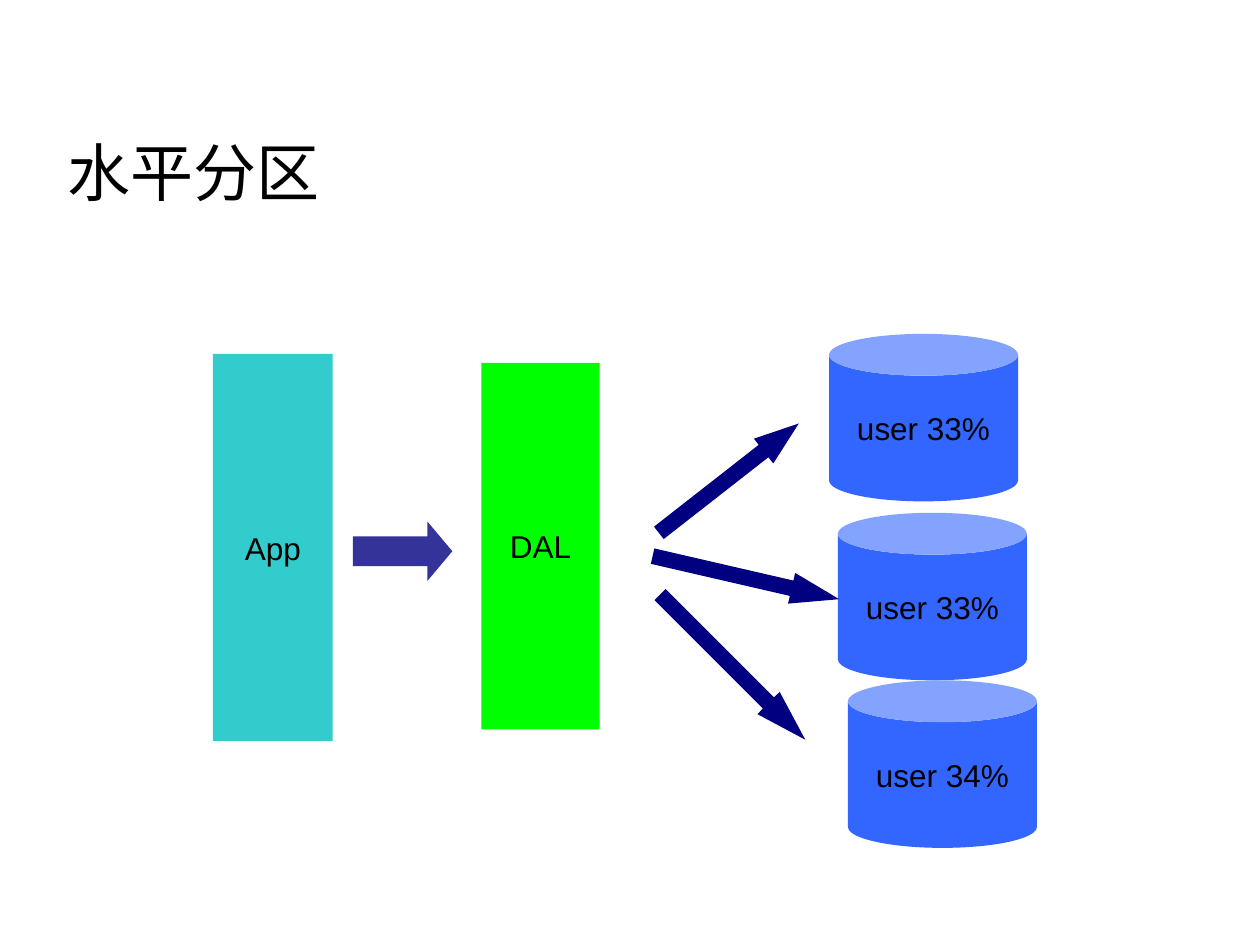
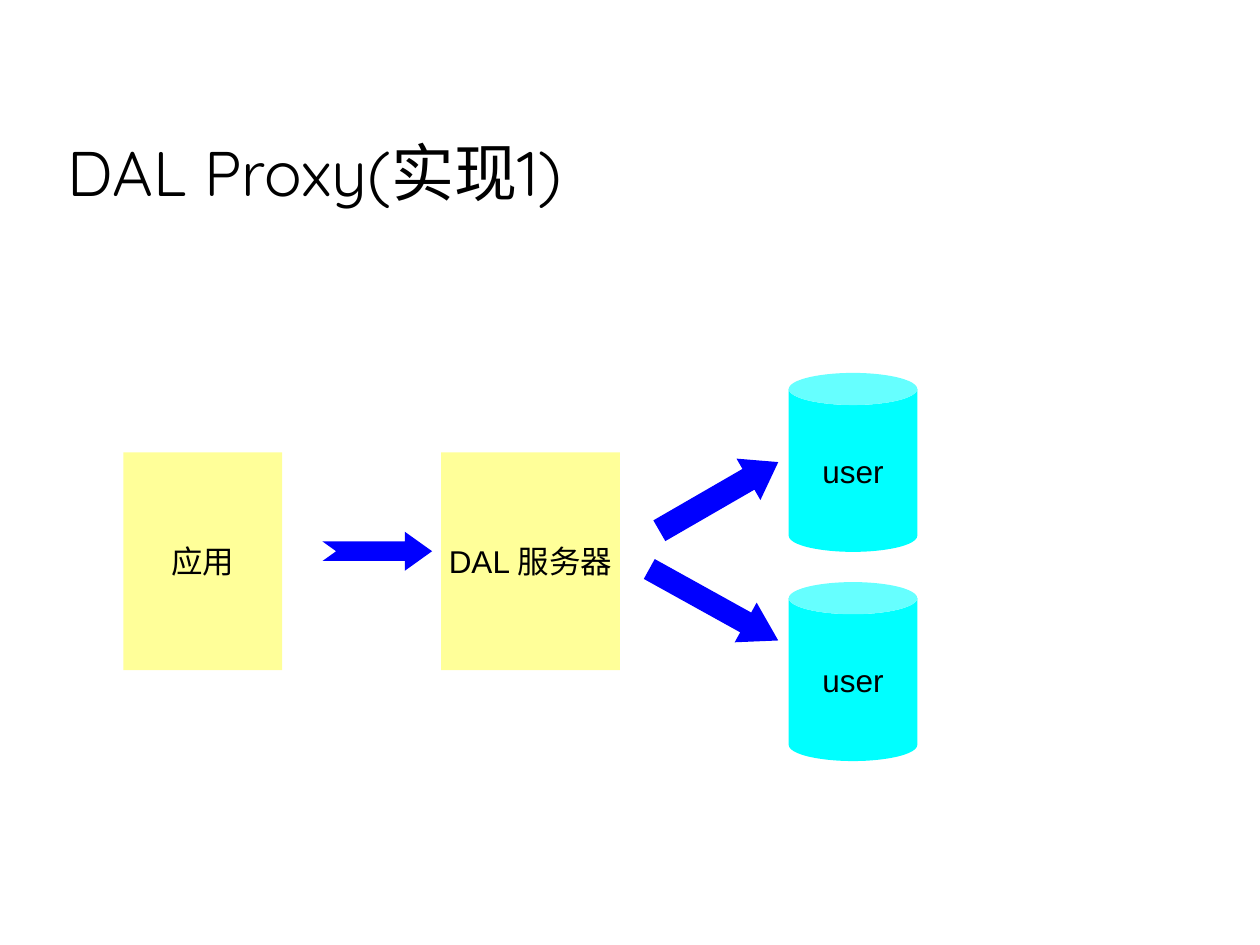
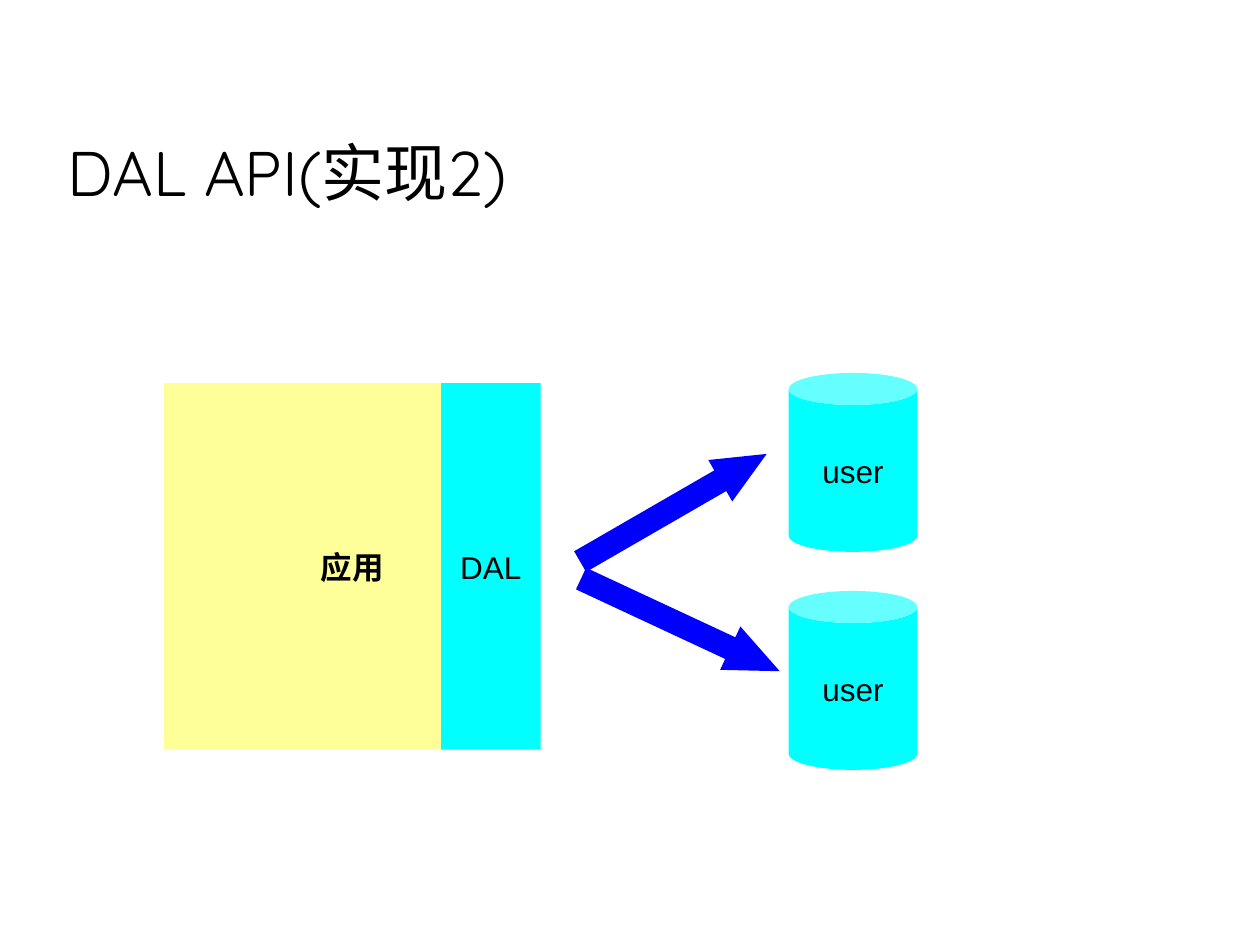
from dataclasses import dataclass

from pptx import Presentation
from pptx.dml.color import RGBColor
from pptx.enum.shapes import MSO_SHAPE as Shape
from pptx.enum.text import MSO_ANCHOR as Anchor, PP_ALIGN as Align
from pptx.util import Inches, Pt

COLUMNS, ROWS = 100, 75
WIDTH, HEIGHT = Inches(10), Inches(7.5)

BLACK = "000000"
ROYAL = "3366FF"
TEAL = "33CCCC"
GREEN = "00FF00"
INDIGO = "333399"
NAVY = "000080"
YELLOW = "FFFF99"
CYAN = "00FFFF"
BLUE = "0000FF"


@dataclass(frozen=True)
class Area:
    col: float
    row: float
    cols: float
    rows: float

    def emu(self) -> tuple[int, int, int, int]:
        x, y = WIDTH / COLUMNS, HEIGHT / ROWS
        return (round(self.col * x), round(self.row * y),
                round(self.cols * x), round(self.rows * y))


@dataclass(frozen=True)
class Block:
    area: Area
    fill: str
    text: str
    kind: Shape = Shape.RECTANGLE
    bold: bool = False


@dataclass(frozen=True)
class Arrow:
    area: Area
    fill: str
    head: float
    angle: float = 0
    kind: Shape = Shape.RIGHT_ARROW


@dataclass(frozen=True)
class Diagram:
    title: str
    items: tuple[Block | Arrow, ...]


TITLE_AREA = Area(4.4, 8.5, 89.8, 10.2)


def rgb(value: str) -> RGBColor:
    return RGBColor.from_string(value)


def style_text(p, text: str, size: int, font: str, bold: bool = False) -> None:
    p.text = text
    p.font.size = Pt(size)
    p.font.name = font
    p.font.bold = bold
    p.font.color.rgb = rgb(BLACK)


def add_title(s, text: str) -> None:
    tf = s.shapes.add_textbox(*TITLE_AREA.emu()).text_frame
    tf.word_wrap = True
    tf.vertical_anchor = Anchor.MIDDLE
    style_text(tf.paragraphs[0], text, 36, "Quicksand")


def add_filled(s, item: Block | Arrow):
    sp = s.shapes.add_shape(item.kind, *item.area.emu())
    sp.shadow.inherit = False
    sp.fill.solid()
    sp.fill.fore_color.rgb = rgb(item.fill)
    sp.line.fill.background()
    return sp


def add_block(s, block: Block) -> None:
    tf = add_filled(s, block).text_frame
    tf.word_wrap = False
    tf.vertical_anchor = Anchor.MIDDLE
    p = tf.paragraphs[0]
    p.alignment = Align.CENTER
    style_text(p, block.text, 18, "Arial", block.bold)


def add_arrow(s, arrow: Arrow) -> None:
    sp = add_filled(s, arrow)
    sp.adjustments[0] = 0.5
    sp.adjustments[1] = arrow.head
    sp.rotation = arrow.angle


def share_store(col: float, row: float, text: str) -> Block:
    return Block(Area(col, row, 15, 13.3), ROYAL, text, Shape.CAN)


def user_store(row: float) -> Block:
    return Block(Area(62.6, row, 10.2, 14.2), CYAN, "user", Shape.CAN)


DIAGRAMS = (
    Diagram("水平分区", (
        share_store(65.8, 26.5, "user 33%"),
        share_store(66.5, 40.7, "user 33%"),
        Block(Area(16.9, 28.1, 9.5, 30.7), TEAL, "App"),
        Block(Area(38.2, 28.8, 9.4, 29.1), GREEN, "DAL"),
        Arrow(Area(28, 41.4, 7.9, 4.7), INDIGO, 0.42),
        Arrow(Area(50.8, 36.7, 14.1, 2.5), NAVY, 1.42, 322),
        Arrow(Area(51.6, 44.6, 15.2, 2.5), NAVY, 1.55, 13),
        share_store(67.3, 54, "user 34%"),
        Arrow(Area(50, 51.7, 16.3, 2.5), NAVY, 1.65, 45),
    )),
    Diagram("DAL Proxy(实现1)", (
        Block(Area(9.8, 35.9, 12.6, 17.3), YELLOW, "应用"),
        Block(Area(35, 35.9, 14.2, 17.3), YELLOW, "DAL 服务器"),
        user_store(46.2),
        user_store(29.6),
        Arrow(Area(25.6, 42.2, 8.7, 3.1), BLUE, 0.7,
              kind=Shape.NOTCHED_RIGHT_ARROW),
        Arrow(Area(51.6, 37.5, 10.9, 3.8), BLUE, 0.72, 330),
        Arrow(Area(50.8, 46.2, 11.7, 3.6), BLUE, 0.82, 29),
    )),
    Diagram("DAL API(实现2)", (
        Block(Area(13, 30.4, 29.9, 29.1), YELLOW, "应用", bold=True),
        Block(Area(35, 30.4, 7.9, 29.1), CYAN, "DAL"),
        user_store(29.6),
        user_store(46.9),
        Arrow(Area(44.9, 38.4, 17.1, 3.8), BLUE, 1.12, 330),
        Arrow(Area(45.3, 47.7, 17.4, 3.8), BLUE, 1.14, 25),
    )),
)


def main() -> None:
    prs = Presentation()
    prs.slide_width, prs.slide_height = WIDTH, HEIGHT
    for diagram in DIAGRAMS:
        s = prs.slides.add_slide(prs.slide_layouts[6])
        add_title(s, diagram.title)
        for item in diagram.items:
            if isinstance(item, Block):
                add_block(s, item)
            else:
                add_arrow(s, item)
    prs.save("out.pptx")


if __name__ == "__main__":
    main()
